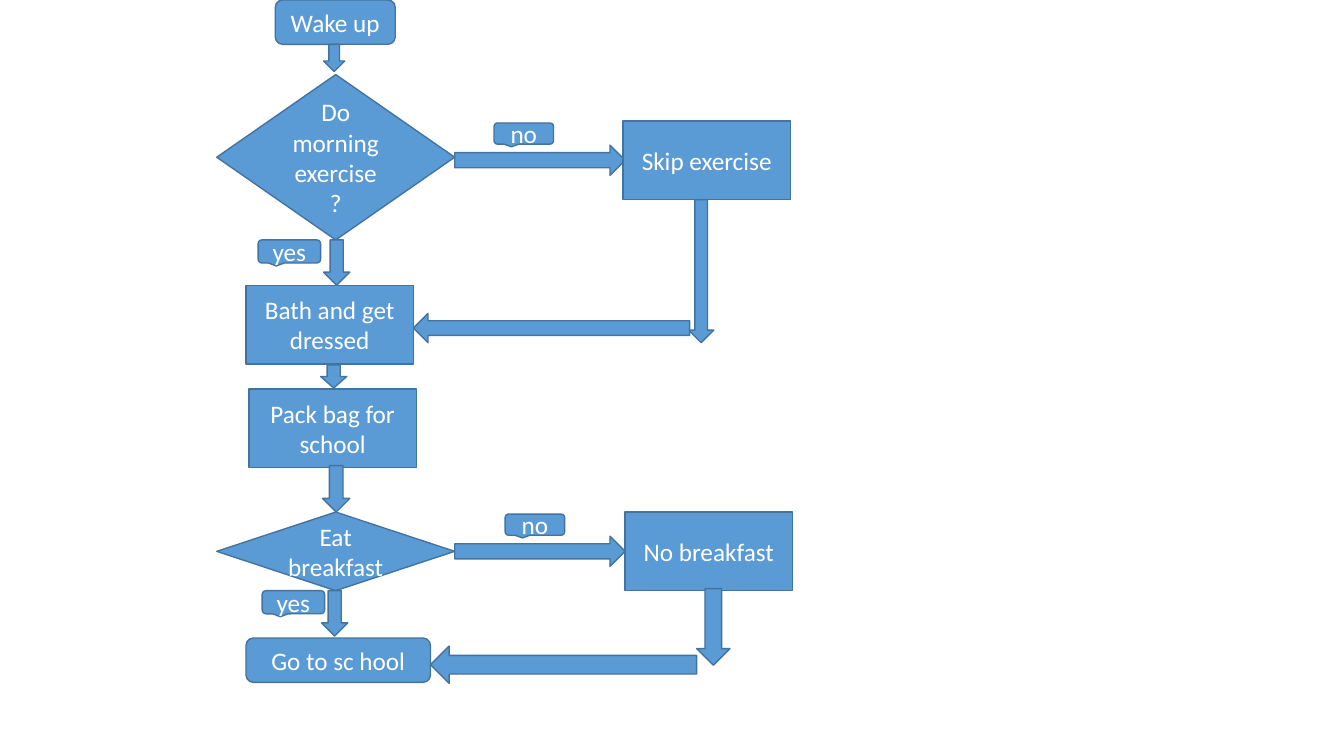
import pptx
import pptx.dml.color
import pptx.enum.shapes
import pptx.enum.text
import pptx.util
from pptx.util import Inches

KIND = pptx.enum.shapes.MSO_SHAPE
STEP_SIZE = (1.66, 0.78)
DECISION_WIDTH = 2.36


def colour(value):
    """Turn a hex string into a colour."""
    return pptx.dml.color.RGBColor.from_string(value)


def add_node(page, kind, left, top, width, height, words=""):
    """Add one flowchart shape, with centred words if given."""
    node = page.shapes.add_shape(
        kind, Inches(left), Inches(top), Inches(width), Inches(height))
    node.shadow.inherit = False
    node.fill.solid()
    node.fill.fore_color.rgb = colour("5B9BD5")
    node.line.color.rgb = colour("43739E")
    node.line.width = pptx.util.Pt(1)
    if words:
        frame = node.text_frame
        frame.word_wrap = True
        frame.vertical_anchor = pptx.enum.text.MSO_ANCHOR.MIDDLE
        para = frame.paragraphs[0]
        para.alignment = pptx.enum.text.PP_ALIGN.CENTER
        span = para.add_run()
        span.text = words
        span.font.name = "Calibri"
        span.font.size = pptx.util.Pt(18)
        span.font.color.rgb = colour("FFFFFF")


def add_no_branch(page, box, detour, label_left, detour_left):
    """Place the arrow to the right, its detour step and the 'no' label."""
    left, top = box
    add_node(page, KIND.RIGHT_ARROW, left, top, 1.69, 0.3)
    add_node(page, KIND.RECTANGLE, left + detour_left, top - 0.24, *STEP_SIZE, detour)
    add_node(page, KIND.ROUNDED_RECTANGULAR_CALLOUT,
             left + label_left, top - 0.22, 0.59, 0.21, "no")


def add_yes_branch(page, box, label_left):
    """Place the arrow downwards and the 'yes' label beside it."""
    left, top = box
    add_node(page, KIND.DOWN_ARROW, left, top, 0.26, 0.45)
    add_node(page, KIND.ROUNDED_RECTANGULAR_CALLOUT,
             left + label_left, top, 0.62, 0.23, "yes")


def add_start(page, box):
    """Place the start node and the arrow below it."""
    left, top = box
    add_node(page, KIND.ROUNDED_RECTANGLE, left, top, 1.19, 0.44, "Wake up")
    add_node(page, KIND.DOWN_ARROW, left + 0.48, top + 0.44, 0.21, 0.27)


def add_exercise(page, box):
    """Place the exercise decision, its branches and the way back."""
    left, top = box
    height = 1.64
    add_no_branch(page, (left + DECISION_WIDTH, top + 0.7), "Skip exercise", 0.39, 1.67)
    add_node(page, KIND.FLOWCHART_DECISION, left, top, DECISION_WIDTH, height,
             "Do morning exercise ?")
    add_yes_branch(page, (left + 1.06, top + height), -0.65)
    add_node(page, KIND.DOWN_ARROW, left + 4.68, top + 1.24, 0.25, 1.42)
    add_node(page, KIND.LEFT_ARROW, left + 1.95, top + 2.37, 2.74, 0.29)


def add_preparation(page, box):
    """Place the two steps before breakfast with their arrows."""
    left, top = box
    add_node(page, KIND.RECTANGLE, left, top, *STEP_SIZE, "Bath and get dressed")
    add_node(page, KIND.DOWN_ARROW, left + 0.74, top + 0.79, 0.26, 0.23)
    add_node(page, KIND.RECTANGLE, left + 0.03, top + 1.03, *STEP_SIZE,
             "Pack bag for school")
    add_node(page, KIND.DOWN_ARROW, left + 0.76, top + 1.79, 0.27, 0.46)


def add_breakfast(page, box):
    """Place the breakfast decision, its branches and the end node."""
    left, top = box
    height = 0.78
    add_node(page, KIND.FLOWCHART_DECISION, left, top, DECISION_WIDTH, height,
             "Eat breakfast")
    add_no_branch(page, (left + DECISION_WIDTH, top + 0.24), "No breakfast", 0.5, 1.69)
    add_yes_branch(page, (left + 1.04, top + height), -0.59)
    add_node(page, KIND.ROUNDED_RECTANGLE, left + 0.29, top + 1.25, 1.83, 0.44,
             "Go to sc hool")
    add_node(page, KIND.DOWN_ARROW, left + 4.76, top + 0.76, 0.33, 0.76)
    add_node(page, KIND.LEFT_ARROW, left + 2.12, top + 1.33, 2.64, 0.37)


deck = pptx.Presentation()
deck.slide_width = Inches(13.33)
deck.slide_height = Inches(7.5)
page = deck.slides.add_slide(deck.slide_layouts[6])
add_start(page, (2.73, 0))
add_exercise(page, (2.15, 0.74))
add_preparation(page, (2.44, 2.83))
add_breakfast(page, (2.15, 5.08))
deck.save("out.pptx")
